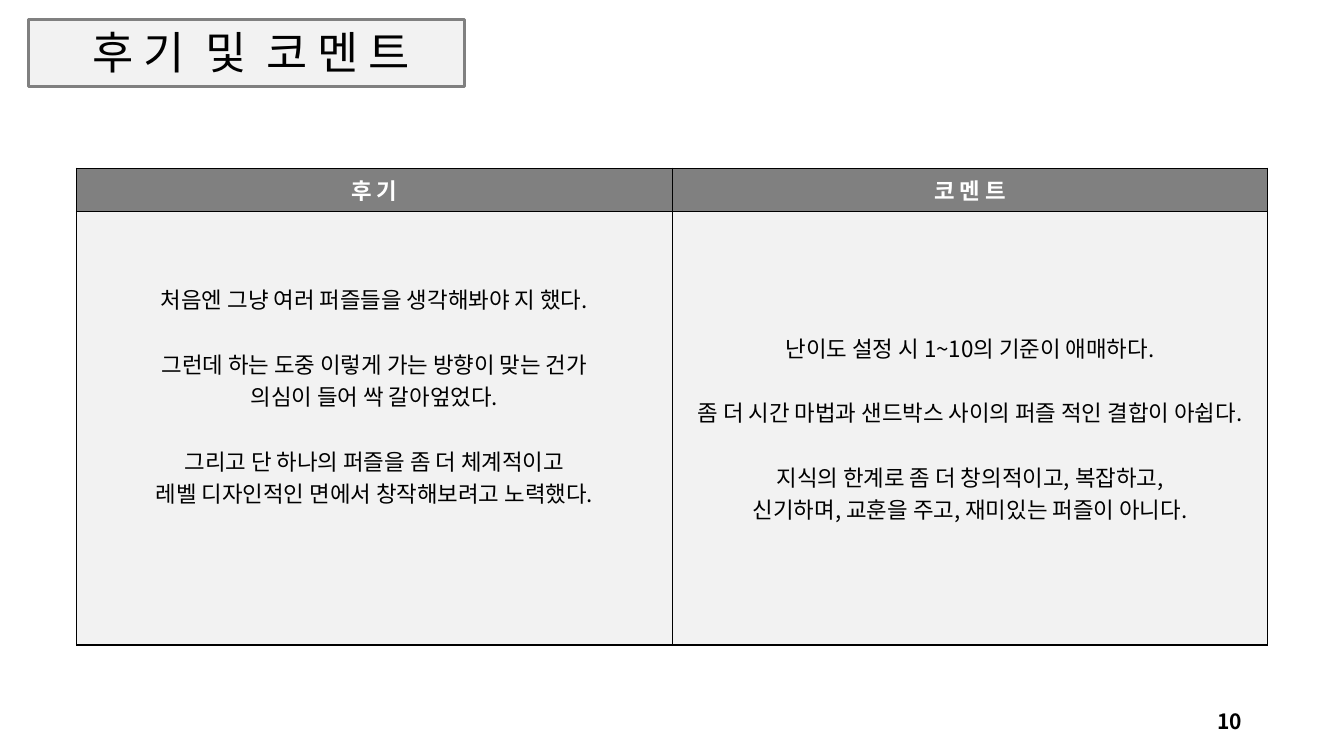
from dataclasses import dataclass
from lxml.etree import SubElement
from pptx import Presentation
from pptx.dml.color import RGBColor
from pptx.enum.shapes import MSO_SHAPE
from pptx.enum.text import MSO_ANCHOR, PP_ALIGN
from pptx.oxml import parse_xml
from pptx.oxml.ns import nsdecls, qn
from pptx.util import Inches, Pt

WIDTH, HEIGHT = Inches(13.33), Inches(7.5)
GRID_COLUMNS, GRID_ROWS = 96, 54


@dataclass(frozen=True)
class Theme:
    font: str = "Noto Sans CJK KR"
    ink: str = "000000"
    light: str = "FFFFFF"
    panel: str = "F2F2F2"
    accent: str = "808080"
    title_size: int = 32
    body_size: int = 16
    page_size: int = 15
    group_gap: int = 23
    word_gap: int = 7


THEME = Theme()
TITLE_WORDS = ["후 기", "및", "코 멘 트"]
HEADINGS = ["후 기", "코 멘 트"]
COMMENTS = [
    [
        ["처음엔 그냥 여러 퍼즐들을 생각해봐야 지 했다."],
        ["그런데 하는 도중 이렇게 가는 방향이 맞는 건가",
         "의심이 들어 싹 갈아엎었다."],
        ["그리고 단 하나의 퍼즐을 좀 더 체계적이고",
         "레벨 디자인적인 면에서 창작해보려고 노력했다."],
    ],
    [
        ["난이도 설정 시 1~10의 기준이 애매하다."],
        ["좀 더 시간 마법과 샌드박스 사이의 퍼즐 적인 결합이 아쉽다."],
        ["지식의 한계로 좀 더 창의적이고, 복잡하고,",
         "신기하며, 교훈을 주고, 재미있는 퍼즐이 아니다."],
    ],
]


def across(columns):
    return round(WIDTH * columns / GRID_COLUMNS)


def down(rows):
    return round(HEIGHT * rows / GRID_ROWS)


def area(left, top, width, height):
    return across(left), down(top), across(width), down(height)


def add_run(paragraph, text, size, color=THEME.ink, bold=False):
    run = paragraph.add_run()
    run.text = text
    run.font.size = Pt(size)
    run.font.bold = bold
    run.font.color.rgb = RGBColor.from_string(color)
    run.font.name = THEME.font
    SubElement(run.font._element, qn("a:ea"), typeface=THEME.font)
    return run


def add_text_box(slide, place, anchor, alignment):
    frame = slide.shapes.add_textbox(*place).text_frame
    frame.word_wrap = True
    frame.vertical_anchor = anchor
    paragraph = frame.paragraphs[0]
    paragraph.alignment = alignment
    return paragraph


def add_title(slide):
    panel = slide.shapes.add_shape(MSO_SHAPE.RECTANGLE, *area(2.02, 1.37, 31.18, 4.82))
    panel.shadow.inherit = False
    panel.fill.solid()
    panel.fill.fore_color.rgb = RGBColor.from_string(THEME.panel)
    panel.line.color.rgb = RGBColor.from_string(THEME.accent)
    panel.line.width = Pt(2.25)
    paragraph = add_text_box(slide, area(3.02, 1.3, 29.88, 4.68),
                             MSO_ANCHOR.BOTTOM, PP_ALIGN.CENTER)
    paragraph.line_spacing = 0.9
    for index, word in enumerate(TITLE_WORDS):
        if index:
            gap = add_run(paragraph, " ", THEME.title_size)
            gap.font._element.set("spc", str(THEME.word_gap * 100))
        add_run(paragraph, word, THEME.title_size)


def style_cell(cell, fill):
    cell.vertical_anchor = MSO_ANCHOR.MIDDLE
    cell.fill.solid()
    cell.fill.fore_color.rgb = RGBColor.from_string(fill)
    properties = cell._tc.get_or_add_tcPr()
    for index, side in enumerate(["lnL", "lnR", "lnT", "lnB"]):
        properties.insert(index, parse_xml(
            f'<a:{side} {nsdecls("a")} w="{Pt(1)}"><a:solidFill>'
            f'<a:srgbClr val="{THEME.ink}"/></a:solidFill></a:{side}>'))


def fill_cell(cell, groups, fill, color, bold):
    style_cell(cell, fill)
    frame = cell.text_frame
    for group_index, lines in enumerate(groups):
        for line_index, line in enumerate(lines):
            first = group_index == line_index == 0
            paragraph = frame.paragraphs[0] if first else frame.add_paragraph()
            paragraph.alignment = PP_ALIGN.CENTER
            if group_index and line_index == 0:
                paragraph.space_before = Pt(THEME.group_gap)
            add_run(paragraph, line, THEME.body_size, color, bold)


def add_comment_table(slide):
    row_heights = [3.1, 30.96]
    place = area(5.47, 12.02, 85.1, sum(row_heights))
    table = slide.shapes.add_table(len(row_heights), len(HEADINGS), *place).table
    for row, height in zip(table.rows, row_heights):
        row.height = down(height)
    for column, heading in enumerate(HEADINGS):
        fill_cell(table.cell(0, column), [[heading]], THEME.accent, THEME.light, True)
        fill_cell(table.cell(1, column), COMMENTS[column], THEME.panel, THEME.ink, False)
    table.cell(1, 0).margin_bottom = down(5)


def add_page_number(slide, number):
    paragraph = add_text_box(slide, area(67.83, 50.04, 21.6, 2.88),
                             MSO_ANCHOR.MIDDLE, PP_ALIGN.RIGHT)
    add_run(paragraph, number, THEME.page_size, bold=True)


def main():
    presentation = Presentation()
    presentation.slide_width, presentation.slide_height = WIDTH, HEIGHT
    slide = presentation.slides.add_slide(presentation.slide_layouts[6])
    add_title(slide)
    add_comment_table(slide)
    add_page_number(slide, "10")
    presentation.save("out.pptx")


if __name__ == "__main__":
    main()
